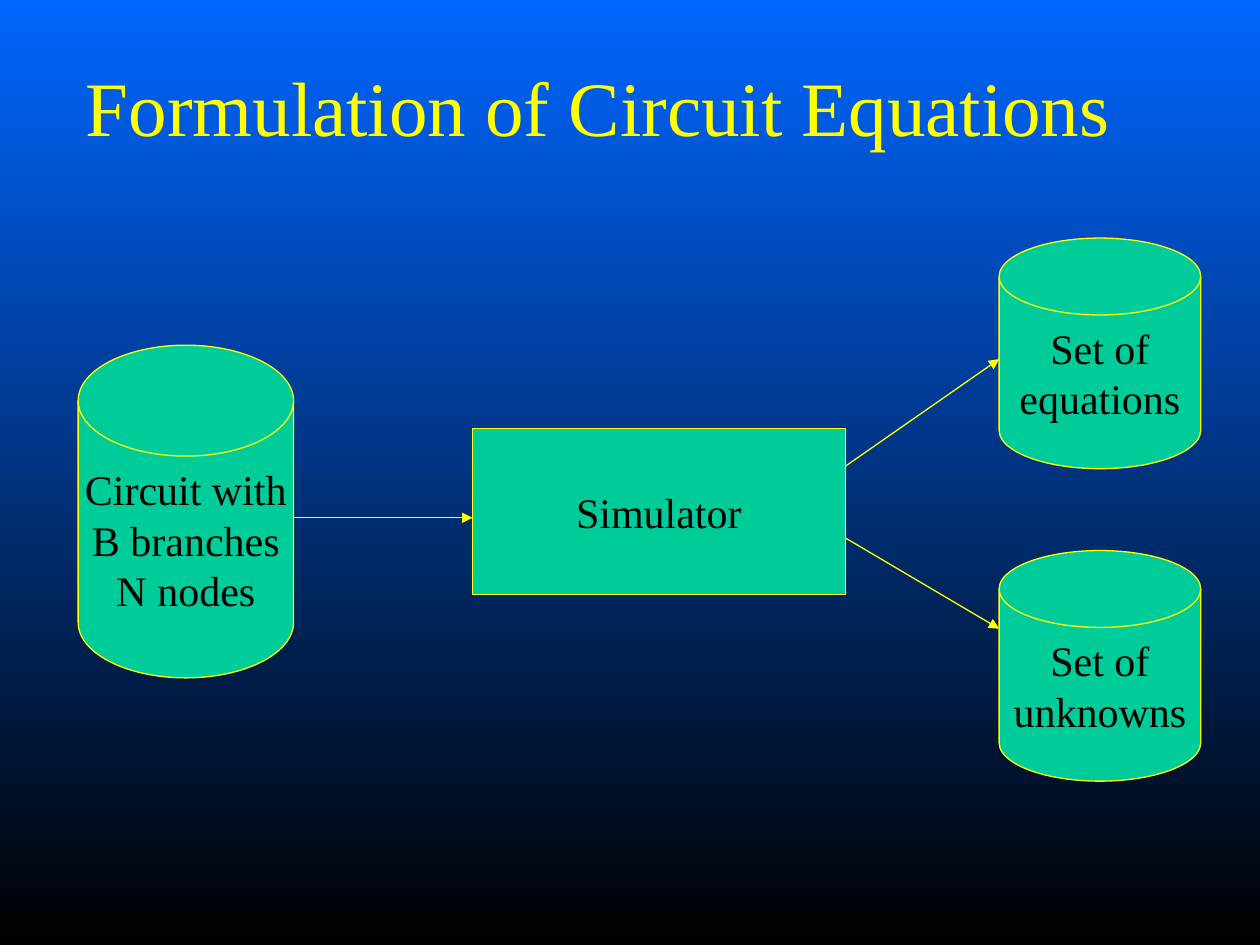
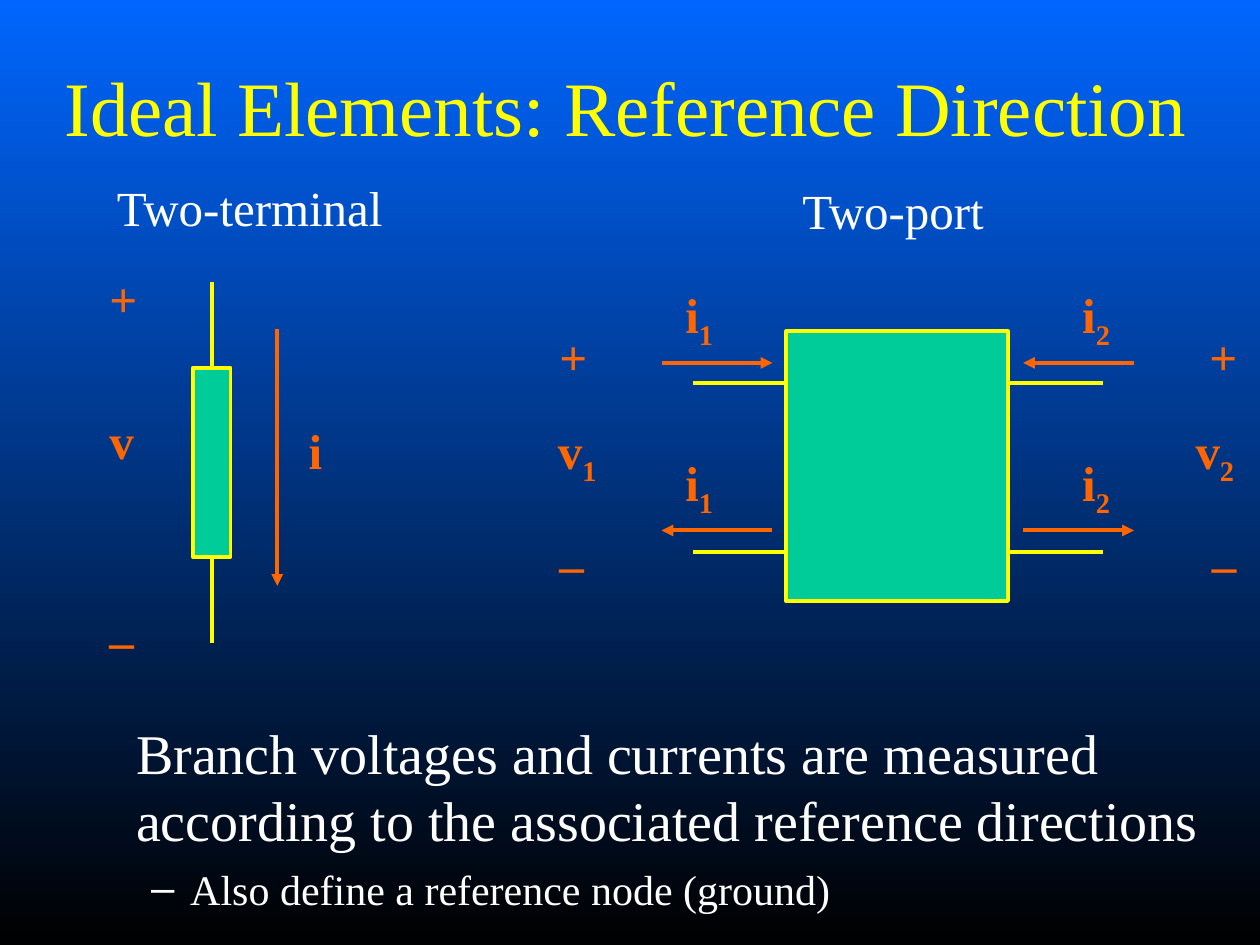
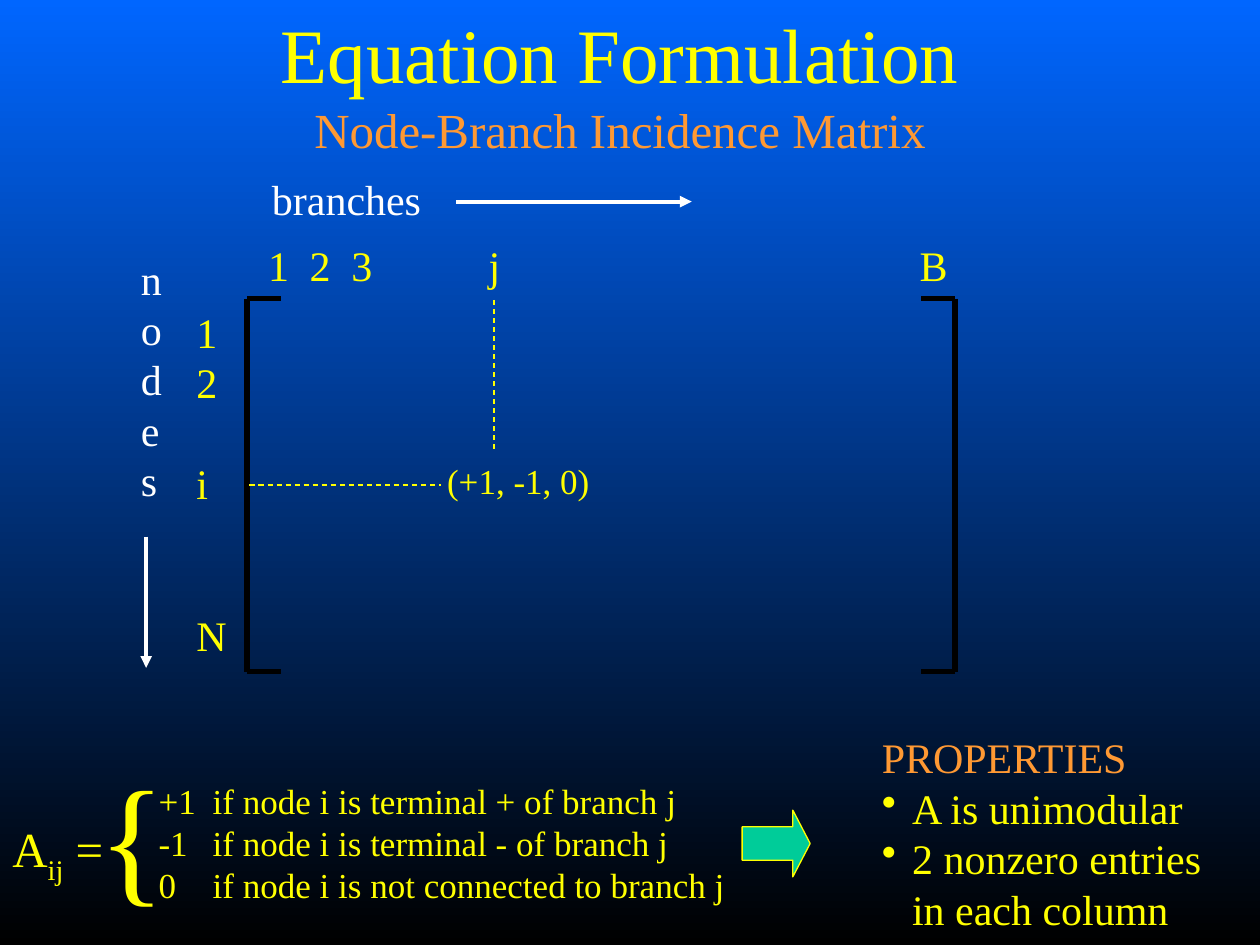
from lxml import etree
from pptx import Presentation
from pptx import util as u
from pptx.dml.color import RGBColor
from pptx.enum import dml, shapes, text
from pptx.oxml.ns import qn

BLUE = RGBColor(0x00, 0x66, 0xFF)
BLACK = RGBColor(0x00, 0x00, 0x00)
WHITE = RGBColor(0xFF, 0xFF, 0xFF)
YELLOW = RGBColor(0xFF, 0xFF, 0x00)
GREEN = RGBColor(0x00, 0xCC, 0x99)
RED_ORANGE = RGBColor(0xFF, 0x66, 0x00)
ORANGE = RGBColor(0xFF, 0x99, 0x33)
FONT = "Times New Roman"
TITLE_ONLY, TITLE_AND_BODY = 5, 1
DISK = shapes.MSO_SHAPE.FLOWCHART_MAGNETIC_DISK
RECT = shapes.MSO_SHAPE.RECTANGLE


def inches(values):
    return [u.Inches(v) for v in values]


def format_runs(p, size, color, bold=False):
    for r in p.runs:
        r.font.name = FONT
        r.font.size = u.Pt(size)
        r.font.bold = bold
        r.font.color.rgb = color


def set_background(master):
    fill = master.background.fill
    fill.gradient()
    fill.gradient_angle = 270
    for stop, color in zip(fill.gradient_stops, (BLUE, BLACK)):
        stop.color.rgb = color


def place(sp, box):
    sp.left, sp.top, sp.width, sp.height = inches(box)


def add_slide(prs, layout, title, box):
    s = prs.slides.add_slide(prs.slide_layouts[layout])
    place(s.shapes.title, box)
    tf = s.shapes.title.text_frame
    tf.auto_size = text.MSO_AUTO_SIZE.NONE
    tf.vertical_anchor = text.MSO_ANCHOR.MIDDLE
    tf.text = title
    p = tf.paragraphs[0]
    p.alignment = text.PP_ALIGN.CENTER
    format_runs(p, 44, YELLOW)
    return s


def set_indent(p, left, first=0):
    pPr = p._p.get_or_add_pPr()
    pPr.set("marL", str(u.Inches(left)))
    pPr.set("indent", str(u.Inches(first)))
    return pPr


def set_bullet(p, char, left):
    pPr = set_indent(p, left, -left)
    etree.SubElement(pPr, qn("a:buChar")).set("char", char)


def set_tabs(p, stops):
    tabs = etree.SubElement(p._p.get_or_add_pPr(), qn("a:tabLst"))
    for stop in stops:
        tab = etree.SubElement(tabs, qn("a:tab"))
        tab.set("pos", str(u.Inches(stop)))
        tab.set("algn", "l")


def add_text(s, box, content, size, color, bold=False, wrap=False, tabs=()):
    tf = s.shapes.add_textbox(*inches(box)).text_frame
    tf.word_wrap = wrap
    tf.text = content
    for p in tf.paragraphs:
        if tabs:
            set_tabs(p, tabs)
        format_runs(p, size, color, bold)
    return tf


def add_indexed(s, box, name, index, color, bold=False, rest=""):
    """Add a 28 pt symbol with a subscript, and any text after it."""
    p = add_text(s, box, name, 28, color).paragraphs[0]
    sub = p.add_run()
    sub.text = index
    sub._r.get_or_add_rPr().set("baseline", "-25000")
    if rest:
        p.add_run().text = rest
    format_runs(p, 28, color, bold)


def add_block(s, kind, box, content="", width=0.75):
    sp = s.shapes.add_shape(kind, *inches(box))
    sp.shadow.inherit = False
    sp.fill.solid()
    sp.fill.fore_color.rgb = GREEN
    sp.line.color.rgb = YELLOW
    sp.line.width = u.Pt(width)
    if content:
        tf = sp.text_frame
        tf.word_wrap = False
        tf.vertical_anchor = text.MSO_ANCHOR.MIDDLE
        tf.text = content
        for p in tf.paragraphs:
            p.alignment = text.PP_ALIGN.CENTER
            format_runs(p, 24, BLACK)
    return sp


def add_line(s, start, end, color, width=2.25, arrow=False, dashed=False):
    c = s.shapes.add_connector(shapes.MSO_CONNECTOR.STRAIGHT, *inches(start + end))
    c.line.color.rgb = color
    c.line.width = u.Pt(width)
    if dashed:
        c.line.dash_style = dml.MSO_LINE.DASH
    spPr = c._element.spPr
    if arrow:
        etree.SubElement(spPr.find(qn("a:ln")), qn("a:tailEnd")).set("type", "triangle")
    etree.SubElement(spPr, qn("a:effectLst"))
    return c


def build_flow(prs):
    s = add_slide(prs, TITLE_ONLY, "Formulation of Circuit Equations", (0.24, 0.25, 9.02, 1.17))
    add_block(s, DISK, (0.62, 2.74, 1.71, 2.64), "Circuit with\nB branches\nN nodes")
    add_block(s, RECT, (3.75, 3.4, 2.96, 1.32), "Simulator")
    for top, result in ((1.89, "equations"), (4.37, "unknowns")):
        add_block(s, DISK, (7.93, top, 1.6, 1.83), f"Set of\n{result}")
    for start, end in (((2.33, 4.11), (3.75, 4.11)),
                       ((6.71, 3.7), (7.93, 2.85)),
                       ((6.71, 4.27), (7.93, 4.99))):
        add_line(s, start, end, YELLOW, 0.75, arrow=True)


def add_two_terminal(s):
    add_text(s, (0.83, 1.36, 2.4, 0.57), "Two-terminal", 28, WHITE)
    element = add_block(s, RECT, (1.53, 2.92, 0.3, 1.5), width=2.25)
    add_line(s, (1.68, 2.24), (1.68, 2.92), YELLOW).end_connect(element, 0)
    add_line(s, (1.68, 4.42), (1.68, 5.1), YELLOW).begin_connect(element, 2)
    add_line(s, (2.2, 2.61), (2.2, 4.65), RED_ORANGE, arrow=True)
    for x, y, w, symbol in ((0.77, 2.08, 0.42, "+"), (0.77, 3.21, 0.39, "v"),
                            (0.77, 4.66, 0.39, "_"), (2.35, 3.29, 0.31, "i")):
        add_text(s, (x, y, w, 0.57), symbol, 28, RED_ORANGE, bold=True)


def add_port(s, index, lead, arrow, i_x, v_x, plus_x, minus_x):
    """Add one side of the two-port; lead and arrow are (outer, inner) x."""
    for y in (3.04, 4.38):
        add_line(s, (lead[0], y), (lead[1], y), YELLOW)
    for y, (start, end) in ((2.88, arrow), (4.21, arrow[::-1])):
        add_line(s, (start, y), (end, y), RED_ORANGE, arrow=True)
        add_indexed(s, (i_x, y - 0.67, 0.42, 0.63), "i", index, RED_ORANGE, bold=True)
    add_indexed(s, (v_x, 3.29, 0.53, 0.63), "v", index, RED_ORANGE, bold=True)
    add_text(s, (plus_x, 2.54, 0.42, 0.57), "+", 28, RED_ORANGE, bold=True)
    add_text(s, (minus_x, 4.06, 0.39, 0.57), "_", 28, RED_ORANGE, bold=True)


def add_two_port(s):
    add_text(s, (6.27, 1.38, 1.7, 0.57), "Two-port", 28, WHITE)
    add_block(s, RECT, (6.24, 2.63, 1.76, 2.14), width=2.25)
    add_port(s, "1", (5.5, 6.24), (5.25, 6.13), 5.34, 4.33, 4.34, 4.34)
    add_port(s, "2", (8.75, 8), (9, 8.12), 8.49, 9.39, 9.5, 9.52)


def build_elements(prs):
    s = add_slide(prs, TITLE_AND_BODY, "Ideal Elements: Reference Direction",
                  (0.24, 0.25, 9.46, 1.17))
    body = s.placeholders[1]
    place(body, (0.6, 5.65, 9.02, 1.85))
    tf = body.text_frame
    tf.auto_size = text.MSO_AUTO_SIZE.NONE
    tf.text = ("Branch voltages and currents are measured according to the "
               "associated reference directions\nAlso define a reference node (ground)")
    statement, detail = tf.paragraphs
    etree.SubElement(set_indent(statement, 0.38), qn("a:buNone"))
    statement.space_before = u.Pt(0)
    format_runs(statement, 32, WHITE)
    detail.level = 1
    set_indent(detail, 0.81, -0.31)
    detail.space_before = u.Pt(6)
    format_runs(detail, 24, WHITE)
    add_two_terminal(s)
    add_two_port(s)


def add_matrix(s):
    add_text(s, (2.03, 1.85, 5.6, 0.5), "1\t2\t3\tj\tB", 24, YELLOW,
             wrap=True, tabs=(0.33, 0.66, 1.75, 5.17))
    rows = add_text(s, (1.46, 2.38, 0.44, 2.9), "1\n2\ni\nN", 24, YELLOW)
    for p, skipped_rows in zip(rows.paragraphs, (0, 0, 1, 2)):
        p.space_before = u.Pt(29 * skipped_rows)
    top, bottom = 2.37, 5.33
    for x, tip in ((1.96, 2.23), (7.58, 7.31)):
        add_line(s, (x, top), (x, bottom), BLACK, 3)
        for y in (top, bottom):
            add_line(s, (x, y), (tip, y), BLACK, 3)
    add_text(s, (2.06, 1.33, 1.5, 0.5), "branches", 24, WHITE)
    add_line(s, (3.62, 1.6), (5.49, 1.6), WHITE, arrow=True)
    add_text(s, (1.02, 1.96, 0.36, 2.1), "\n".join("nodes"), 24, WHITE)
    add_line(s, (1.16, 4.26), (1.16, 5.3), WHITE, arrow=True)
    add_line(s, (1.98, 3.85), (3.5, 3.85), YELLOW, 0.75, dashed=True)
    add_line(s, (3.92, 2.38), (3.92, 3.58), YELLOW, 0.75, dashed=True)
    add_text(s, (3.45, 3.6, 1.4, 0.44), "(+1, -1, 0)", 20, YELLOW)


def add_entry_definition(s):
    add_text(s, (0.68, 5.89, 0.73, 1.44), "{", 80, YELLOW)
    add_indexed(s, (0, 6.45, 1, 0.63), "A", "ij", YELLOW, rest=" =")
    add_text(s, (1.16, 6.14, 4.72, 1.1),
             "+1\tif node i is terminal + of branch j\n"
             "-1\tif node i is terminal - of branch j\n"
             "0\tif node i is not connected to branch j",
             20, YELLOW, wrap=True, tabs=(0.43,))


def add_properties(s):
    tf = add_text(s, (6.9, 5.76, 2.94, 1.7),
                  "PROPERTIES\nA is unimodular\n2 nonzero entries in each column",
                  24, YELLOW, wrap=True)
    heading, *items = tf.paragraphs
    format_runs(heading, 24, ORANGE)
    for p in items:
        set_bullet(p, "•", 0.24)


def build_matrix(prs):
    s = add_slide(prs, TITLE_ONLY, "Equation Formulation\vNode-Branch Incidence Matrix",
                  (0.17, 0.07, 9.5, 1.17))
    subtitle = s.shapes.title.text_frame.paragraphs[0].runs[1]
    subtitle.font.size = u.Pt(28)
    subtitle.font.color.rgb = ORANGE
    add_matrix(s)
    add_entry_definition(s)
    arrow = add_block(s, shapes.MSO_SHAPE.RIGHT_ARROW, (5.89, 6.43, 0.54, 0.53))
    arrow.adjustments[1] = 0.26
    add_properties(s)


def main():
    prs = Presentation()
    prs.slide_width, prs.slide_height = inches((10, 7.5))
    set_background(prs.slide_master)
    build_flow(prs)
    build_elements(prs)
    build_matrix(prs)
    prs.save("out.pptx")


if __name__ == "__main__":
    main()
